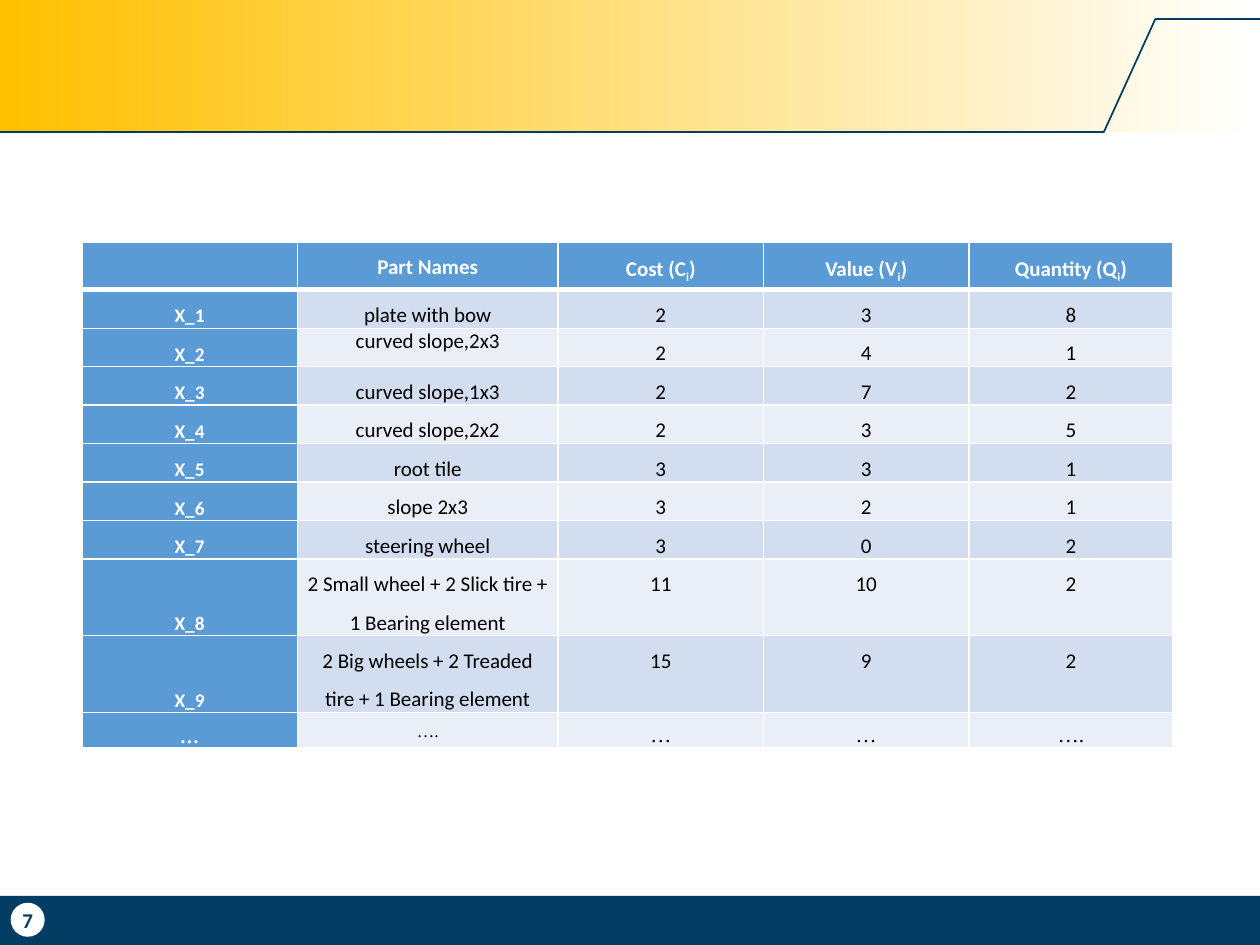
from lxml.etree import SubElement
from pptx import Presentation
from pptx.dml.color import RGBColor
from pptx.enum.shapes import MSO_CONNECTOR, MSO_SHAPE
from pptx.enum.text import MSO_ANCHOR, PP_ALIGN
from pptx.oxml.ns import qn
from pptx.util import Inches, Pt

COLORS = {
    "navy": "043D63", "gold": "FFC000", "white": "FFFFFF", "black": "000000",
    "blue": "5B9BD5", "odd": "D2DEEF", "even": "EAEFF7",
}
HEADERS = [("",), ("Part Names",), ("Cost (C", "i", ")"), ("Value (V", "i", ")"), ("Quantity (Q", "i", ")")]
PARTS = [
    ("X_1", "plate with bow", "2", "3", "8"),
    ("X_2", "curved slope,2x3", "2", "4", "1"),
    ("X_3", "curved slope,1x3", "2", "7", "2"),
    ("X_4", "curved slope,2x2", "2", "3", "5"),
    ("X_5", "root tile", "3", "3", "1"),
    ("X_6", "slope 2x3", "3", "2", "1"),
    ("X_7", "steering wheel", "3", "0", "2"),
    ("X_8", "2 Small wheel + 2 Slick tire + 1 Bearing element", "11", "10", "2"),
    ("X_9", "2 Big wheels + 2 Treaded tire + 1 Bearing element", "15", "9", "2"),
    ("…", "….", "…", "…", "…."),
]
TIGHT_PART = "X_2"
COLUMN_WIDTHS = [1.71, 2.07, 1.63, 1.63, 1.62]
HEADER_HEIGHT, LINE_HEIGHT, LAST_HEIGHT = 0.38, 0.3, 0.27
TABLE_LEFT, TABLE_TOP = 0.65, 1.92
WIDTH, HEIGHT = 10, 7.5
BAND_HEIGHT, FOOTER_HEIGHT = 1.05, 0.39
BADGE_CENTER, BADGE_SIZE = (0.22, 7.3), 0.27
OUTLINE = [(0, BAND_HEIGHT), (8.76, BAND_HEIGHT), (9.17, 0.15), (WIDTH, 0.15)]


def color(name):
    return RGBColor.from_string(COLORS[name])


def add_block(page, kind, left, top, width, height, fill):
    block = page.shapes.add_shape(kind, Inches(left), Inches(top), Inches(width), Inches(height))
    block.shadow.inherit = False
    block.line.fill.background()
    if fill:
        block.fill.solid()
        block.fill.fore_color.rgb = color(fill)
    return block


def add_outline(page):
    for start, end in zip(OUTLINE, OUTLINE[1:]):
        line = page.shapes.add_connector(MSO_CONNECTOR.STRAIGHT, *map(Inches, start + end))
        line.line.color.rgb = color("navy")
        line.line.width = Pt(1)
        SubElement(line._element.spPr, qn("a:effectLst"))


def format_span(span, size, name, bold, font="Calibri"):
    span.font.size = Pt(size)
    span.font.name = font
    span.font.bold = bold
    span.font.color.rgb = color(name)


def add_borders(cell, header):
    for side in ("lnL", "lnR", "lnT", "lnB"):
        points = 3 if header and side == "lnB" else 1
        border = SubElement(cell._tc.get_or_add_tcPr(), qn(f"a:{side}"), w=str(Pt(points)))
        fill = SubElement(border, qn("a:solidFill"))
        SubElement(fill, qn("a:srgbClr"), val=COLORS["white"])


def fill_cell(cell, pieces, row, column, tight, last):
    header, label = row == 0, column == 0
    strong = header or label
    cell.margin_left = cell.margin_right = Inches(0.07)
    cell.margin_top = cell.margin_bottom = 0
    add_borders(cell, header)
    cell.fill.solid()
    cell.fill.fore_color.rgb = color("blue" if strong else "odd" if row % 2 else "even")
    if label and not header:
        cell.vertical_anchor = MSO_ANCHOR.BOTTOM

    para = cell.text_frame.paragraphs[0]
    para.alignment = PP_ALIGN.CENTER
    if not (tight and column < 2):
        para.line_spacing = 1.5
        para.space_after = Pt(6)
    size = 11 if label else 10 if last and column == 1 else 12
    para.font.size = Pt(size)
    for index, piece in enumerate(filter(None, pieces)):
        span = para.add_run()
        span.text = piece
        format_span(span, size, "white" if strong else "black", strong,
                    "Times New Roman" if last else "Calibri")
        if index == 1:
            span.font._element.set("baseline", "-25000")


def add_parts_table(page):
    rows = [HEADERS] + [[(value,) for value in part] for part in PARTS]
    heights = [HEADER_HEIGHT] + [LINE_HEIGHT * (2 if "+" in part[1] else 1) for part in PARTS]
    heights[-1] = LAST_HEIGHT
    frame = page.shapes.add_table(
        len(rows), len(COLUMN_WIDTHS), Inches(TABLE_LEFT), Inches(TABLE_TOP),
        Inches(sum(COLUMN_WIDTHS)), Inches(sum(heights)))
    table = frame.table
    for column, width in zip(table.columns, COLUMN_WIDTHS):
        column.width = Inches(width)
    for row, (values, height) in enumerate(zip(rows, heights)):
        table.rows[row].height = Inches(height)
        tight = values[0][0] == TIGHT_PART
        for column, pieces in enumerate(values):
            fill_cell(table.cell(row, column), pieces, row, column, tight, row == len(PARTS))


def add_page_number(page):
    width, height = 0.44, 0.4
    box = page.shapes.add_textbox(
        Inches(BADGE_CENTER[0] - width / 2), Inches(BADGE_CENTER[1] - height / 2),
        Inches(width), Inches(height))
    box.text_frame.word_wrap = True
    box.text_frame.vertical_anchor = MSO_ANCHOR.MIDDLE
    box.text_frame.text = "7"
    para = box.text_frame.paragraphs[0]
    para.alignment = PP_ALIGN.CENTER
    format_span(para.runs[0], 12, "navy", True)


def main():
    deck = Presentation()
    deck.slide_width, deck.slide_height = Inches(WIDTH), Inches(HEIGHT)
    page = deck.slides.add_slide(deck.slide_layouts[6])

    add_block(page, MSO_SHAPE.RECTANGLE, 0, HEIGHT - FOOTER_HEIGHT, WIDTH, FOOTER_HEIGHT, "navy")
    band = add_block(page, MSO_SHAPE.RECTANGLE, 0, 0, WIDTH, BAND_HEIGHT, None)
    band.fill.gradient()
    band.fill.gradient_angle = 0
    for stop, position, name in zip(band.fill.gradient_stops, (0, 1), ("gold", "white")):
        stop.position = position
        stop.color.rgb = color(name)
    add_outline(page)
    left, top = (center - BADGE_SIZE / 2 for center in BADGE_CENTER)
    add_block(page, MSO_SHAPE.OVAL, left, top, BADGE_SIZE, BADGE_SIZE, "white")
    add_parts_table(page)
    add_page_number(page)
    deck.save("out.pptx")


if __name__ == "__main__":
    main()
